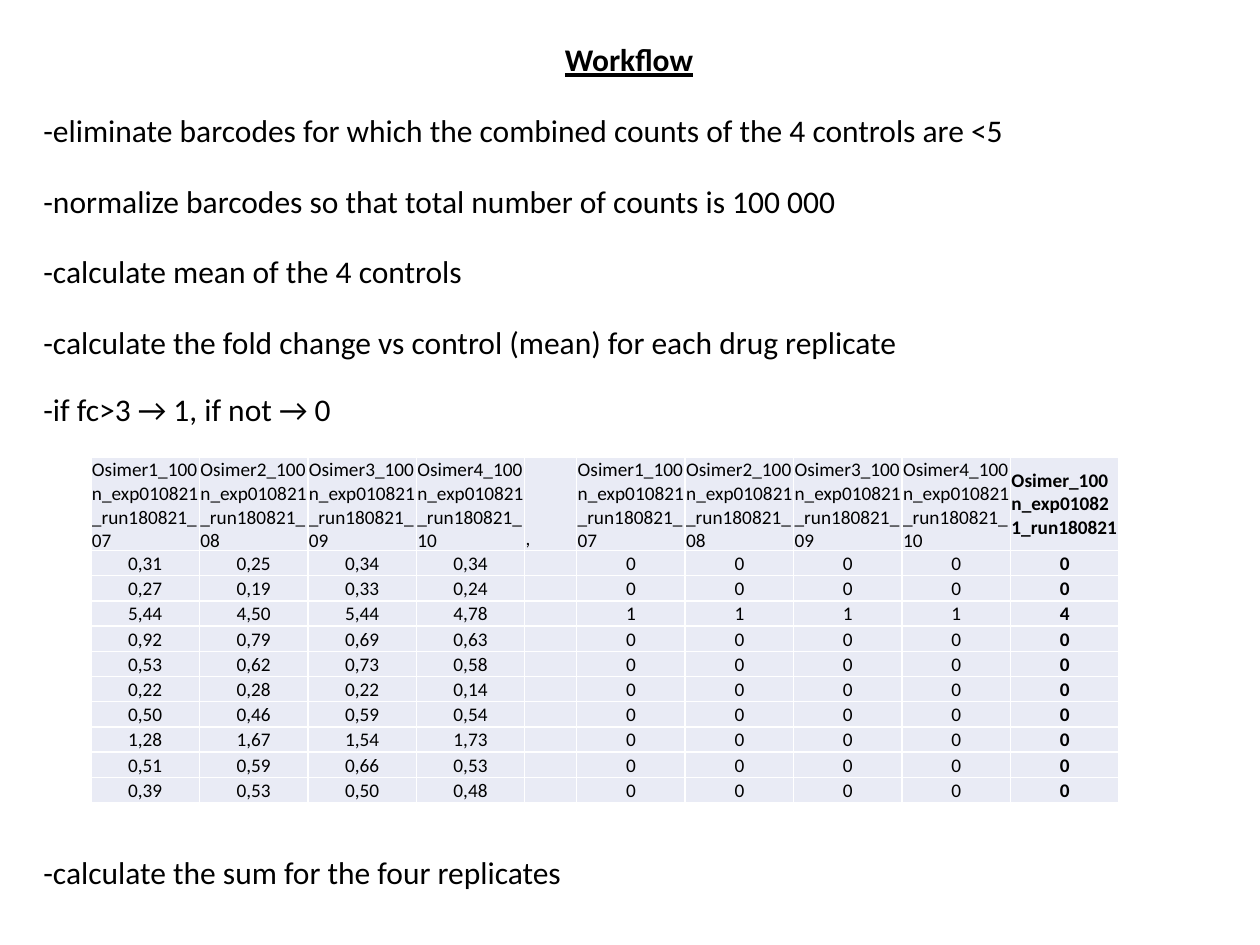
from lxml import etree
from pptx import Presentation
from pptx import util as u
from pptx.dml.color import RGBColor
from pptx.enum import text
from pptx.oxml import ns

PX_PER_INCH = 126
FONT = "Calibri"
BLACK = RGBColor(0x00, 0x00, 0x00)
WHITE = RGBColor(0xFF, 0xFF, 0xFF)
PALE_BLUE = RGBColor(0xE9, 0xEB, 0xF5)

FIRST_STEPS = [
    "-eliminate barcodes for which the combined counts of the 4 controls are <5",
    "-normalize barcodes so that total number of counts is 100 000",
    "-calculate mean of the 4 controls",
    "-calculate the fold change vs control (mean) for each drug replicate",
]
THRESHOLD_STEP = ["-if fc>3 → 1, if not → 0"]
SUM_STEP = ["-calculate the sum for the four replicates"]

REPLICATES = [f"Osimer{n}_100n_exp010821_run180821_{n + 6:02d}" for n in range(1, 5)]
TOTAL = "Osimer_100n_exp010821_run180821"
FOLD_CHANGES = [
    ("0,31", "0,25", "0,34", "0,34"),
    ("0,27", "0,19", "0,33", "0,24"),
    ("5,44", "4,50", "5,44", "4,78"),
    ("0,92", "0,79", "0,69", "0,63"),
    ("0,53", "0,62", "0,73", "0,58"),
    ("0,22", "0,28", "0,22", "0,14"),
    ("0,50", "0,46", "0,59", "0,54"),
    ("1,28", "1,67", "1,54", "1,73"),
    ("0,51", "0,59", "0,66", "0,53"),
    ("0,39", "0,53", "0,50", "0,48"),
]
GAP_COLUMN = len(REPLICATES)


def px(length):
    return u.Emu(length * 914400 // PX_PER_INCH)


def add_span(para, words, size, bold=False, underline=False):
    span = para.add_run()
    span.text = words
    span.font.name = FONT
    span.font.size = u.Pt(size)
    span.font.bold = bold
    span.font.underline = underline
    span.font.color.rgb = BLACK


def space_lines(para):
    para.line_spacing = 1.5
    para.space_before = u.Pt(0)
    para.space_after = u.Pt(8)


def place_title(page, left, top, width, height):
    title = page.shapes.title
    title.left, title.top = px(left), px(top)
    title.width, title.height = px(width), px(height)
    frame = title.text_frame
    frame.word_wrap = True
    frame.auto_size = text.MSO_AUTO_SIZE.NONE
    frame.vertical_anchor = text.MSO_ANCHOR.TOP
    para = frame.paragraphs[0]
    para.alignment = text.PP_ALIGN.CENTER
    space_lines(para)
    add_span(para, "Workflow", 18, bold=True, underline=True)


def place_steps(page, steps, left, top, width, height):
    box = page.shapes.add_textbox(px(left), px(top), px(width), px(height))
    frame = box.text_frame
    frame.word_wrap = True
    frame.auto_size = text.MSO_AUTO_SIZE.SHAPE_TO_FIT_TEXT
    for index, step in enumerate(steps):
        para = frame.add_paragraph() if index else frame.paragraphs[0]
        space_lines(para)
        add_span(para, step, 18)


def table_rows():
    yield [*REPLICATES, ",", *REPLICATES, TOTAL]
    for changes in FOLD_CHANGES:
        flags = [int(float(change.replace(",", ".")) > 3) for change in changes]
        yield [*changes, "", *map(str, flags), str(sum(flags))]


def outline_cell(cell):
    properties = cell._tc.get_or_add_tcPr()
    for side in ("a:lnL", "a:lnR", "a:lnT", "a:lnB"):
        line = etree.SubElement(properties, ns.qn(side), w=str(u.Pt(1)))
        fill = etree.SubElement(line, ns.qn("a:solidFill"))
        etree.SubElement(fill, ns.qn("a:srgbClr"), val=str(WHITE))


def fill_cell(cell, words, header, gap, bold):
    outline_cell(cell)
    cell.fill.solid()
    cell.fill.fore_color.rgb = PALE_BLUE
    cell.margin_left = cell.margin_right = cell.margin_top = px(1)
    cell.margin_bottom = 0
    middle = header and not gap
    cell.vertical_anchor = text.MSO_ANCHOR.MIDDLE if middle else text.MSO_ANCHOR.BOTTOM
    para = cell.text_frame.paragraphs[0]
    para.alignment = text.PP_ALIGN.LEFT if header else text.PP_ALIGN.CENTER
    if words:
        add_span(para, words, 11, bold)
    else:
        etree.SubElement(para._p, ns.qn("a:endParaRPr"), sz="1100")


def place_counts(page, left, top, width, height):
    rows = list(table_rows())
    columns = len(rows[0])
    header_height, gap_width = 93, 52
    table = page.shapes.add_table(
        len(rows), columns, px(left), px(top), px(width), px(height)
    ).table
    table.first_row = table.horz_banding = False
    for index, column in enumerate(table.columns):
        data_width = px(width - gap_width) // (columns - 1)
        column.width = px(gap_width) if index == GAP_COLUMN else data_width
    for index, row in enumerate(table.rows):
        data_height = px(height - header_height) // (len(rows) - 1)
        row.height = data_height if index else px(header_height)
    for r, values in enumerate(rows):
        for c, words in enumerate(values):
            fill_cell(table.cell(r, c), words, r == 0, c == GAP_COLUMN, c == columns - 1)


def build_workflow(deck):
    page = deck.slides.add_slide(deck.slide_layouts[5])
    left, width, line_height = 31, 1196, 64
    place_title(page, left, 15, width, line_height)
    place_steps(page, FIRST_STEPS, left, 86, width, 278)
    place_counts(page, 91, 457, 1028, 345)
    place_steps(page, THRESHOLD_STEP, left, 365, width, line_height)
    place_steps(page, SUM_STEP, left, 828, width, line_height)


def main():
    deck = Presentation()
    deck.slide_width, deck.slide_height = px(1260), px(945)
    build_workflow(deck)
    deck.save("out.pptx")


if __name__ == "__main__":
    main()
